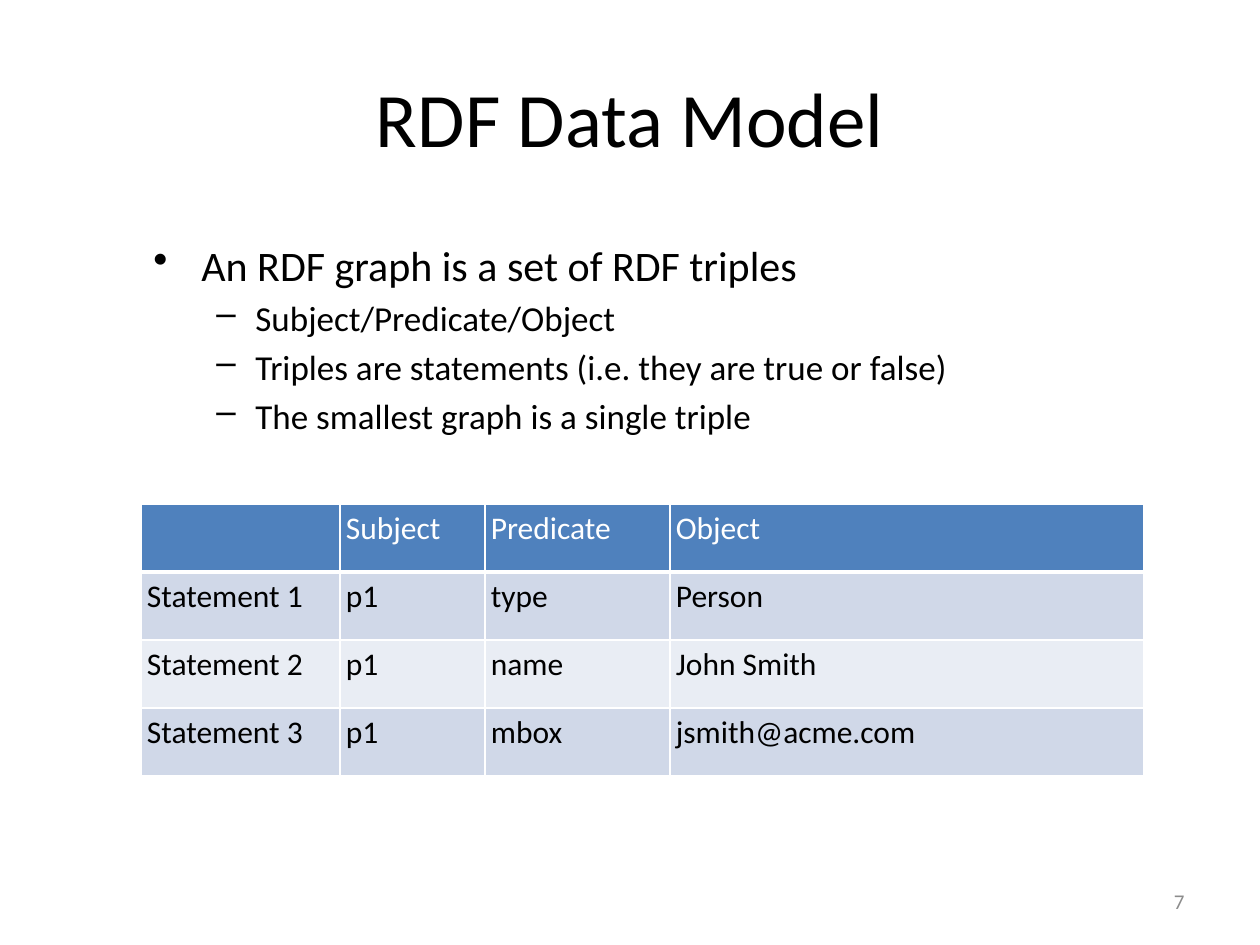
import pptx
import pptx.dml.color
import pptx.enum.text
import pptx.oxml
import pptx.oxml.ns
import pptx.util

EMU_PER_PX = 914400 / 126
FONT = "Calibri"
BLACK = pptx.dml.color.RGBColor(0x00, 0x00, 0x00)
WHITE = pptx.dml.color.RGBColor(0xFF, 0xFF, 0xFF)
GREY = pptx.dml.color.RGBColor(0x8C, 0x8C, 0x8C)
HEADER_BLUE = pptx.dml.color.RGBColor(0x4F, 0x81, 0xBD)
BAND_DARK = pptx.dml.color.RGBColor(0xD0, 0xD8, 0xE8)
BAND_LIGHT = pptx.dml.color.RGBColor(0xE9, 0xED, 0xF4)
ALIGN = pptx.enum.text.PP_ALIGN
ANCHOR = pptx.enum.text.MSO_ANCHOR

POINTS = [
    (0, "An RDF graph is a set of RDF triples"),
    (1, "Subject/Predicate/Object"),
    (1, "Triples are statements (i.e. they are true or false)"),
    (1, "The smallest graph is a single triple"),
]
LEVELS = [
    {"size": 24, "bullet": "•", "margin": 48, "hang": 48},
    {"size": 20, "bullet": "–", "margin": 102, "hang": 39},
]
STATEMENTS = [
    ["", "Subject", "Predicate", "Object"],
    ["Statement 1", "p1", "type", "Person"],
    ["Statement 2", "p1", "name", "John Smith"],
    ["Statement 3", "p1", "mbox", "jsmith@acme.com"],
]
COLUMN_SHARES = [199, 145, 185, 474]


def px(length):
    """Turn a length in px into EMU."""
    return pptx.util.Emu(round(length * EMU_PER_PX))


def write(paragraph, text, size=18, color=BLACK, align=ALIGN.LEFT,
          bullet=None, margin=0, hang=0):
    """Put formatted text into a paragraph, with a hanging bullet if given."""
    paragraph.alignment = align
    paragraph.font.size = pptx.util.Pt(size)
    if text:
        run = paragraph.add_run()
        run.text = text
        run.font.name = FONT
        run.font.size = pptx.util.Pt(size)
        run.font.color.rgb = color
    if bullet:
        paragraph.space_before = pptx.util.Pt(size * 0.2)
        properties = paragraph._p.get_or_add_pPr()
        properties.set("marL", str(px(margin)))
        properties.set("indent", str(px(-hang)))
        mark = pptx.oxml.parse_xml(
            f'<a:buChar {pptx.oxml.ns.nsdecls("a")} char="{bullet}"/>')
        properties.insert_element_before(
            mark, "a:tabLst", "a:defRPr", "a:extLst")


def add_frame(slide, box, anchor=ANCHOR.TOP):
    """Add a wrapping text box and return its text frame."""
    frame = slide.shapes.add_textbox(*map(px, box)).text_frame
    frame.word_wrap = True
    frame.vertical_anchor = anchor
    return frame


def add_line_of_text(slide, box, text, **text_format):
    """Add a vertically centred single paragraph."""
    write(add_frame(slide, box, ANCHOR.MIDDLE).paragraphs[0], text, **text_format)


def add_points(slide, box):
    """Add the bulleted points on RDF graphs."""
    frame = add_frame(slide, box)
    for index, (level, text) in enumerate(POINTS):
        paragraph = frame.add_paragraph() if index else frame.paragraphs[0]
        paragraph.level = level
        write(paragraph, text, **LEVELS[level])


def set_borders(cell, bottom):
    """Draw white cell borders, with the bottom one in the given points."""
    for side, points in zip("LRTB", (1, 1, 1, bottom)):
        cell._tc.get_or_add_tcPr().append(pptx.oxml.parse_xml(
            f'<a:ln{side} {pptx.oxml.ns.nsdecls("a")} w="{pptx.util.Pt(points)}">'
            f'<a:solidFill><a:srgbClr val="{WHITE}"/></a:solidFill></a:ln{side}>'))


def add_statements(slide, box):
    """Add the table of RDF statements, filling the box."""
    left, top, width, height = box
    table = slide.shapes.add_table(
        len(STATEMENTS), len(COLUMN_SHARES), *map(px, box)).table
    for column, share in zip(table.columns, COLUMN_SHARES):
        column.width = px(width * share / sum(COLUMN_SHARES))
    for row_index, values in enumerate(STATEMENTS):
        table.rows[row_index].height = px(height / len(STATEMENTS))
        is_header = row_index == 0
        band = BAND_DARK if row_index % 2 else BAND_LIGHT
        for column_index, value in enumerate(values):
            cell = table.cell(row_index, column_index)
            cell.margin_left = cell.margin_right = px(6)
            cell.margin_top = cell.margin_bottom = px(6)
            set_borders(cell, bottom=3 if is_header else 1)
            cell.fill.solid()
            cell.fill.fore_color.rgb = HEADER_BLUE if is_header else band
            write(cell.text_frame.paragraphs[0], value,
                  color=WHITE if is_header else BLACK)


def main():
    """Build and save the slide."""
    presentation = pptx.Presentation()
    presentation.slide_width = px(1260)
    presentation.slide_height = px(945)
    slide = presentation.slides.add_slide(presentation.slide_layouts[6])
    add_line_of_text(slide, (63, 38, 1134, 158), "RDF Data Model",
                     size=44, align=ALIGN.CENTER)
    add_statements(slide, (141, 504, 1003, 272))
    add_points(slide, (141, 233, 1003, 229))
    add_line_of_text(slide, (903, 876, 294, 50), "7",
                     size=12, color=GREY, align=ALIGN.RIGHT)
    presentation.save("out.pptx")


if __name__ == "__main__":
    main()
